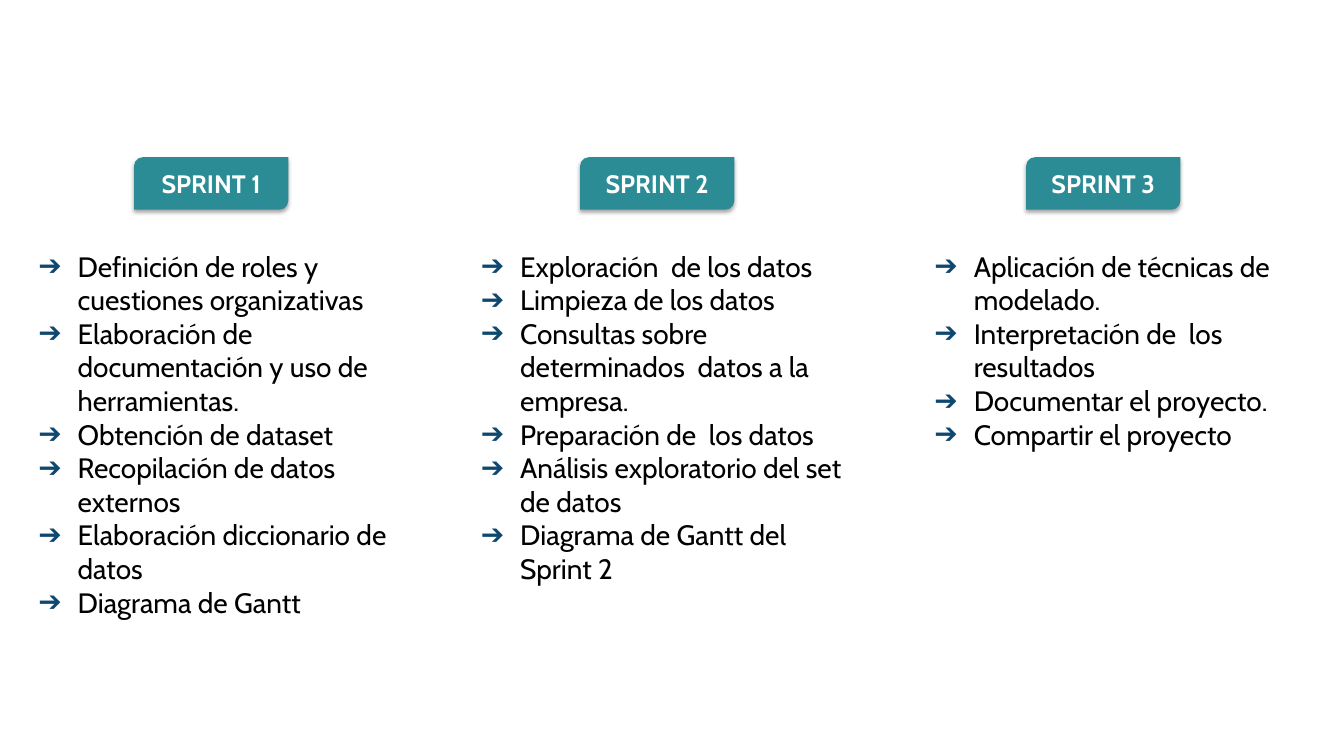
from lxml.etree import SubElement as add_element
from pptx import Presentation
from pptx.dml.color import RGBColor
from pptx.enum.shapes import MSO_SHAPE as Preset
from pptx.enum.text import MSO_ANCHOR as Anchor, MSO_AUTO_SIZE as AutoSize, PP_ALIGN as Align
from pptx.oxml.ns import qn
from pptx.util import Inches, Pt

COLUMNS, ROWS = 160, 90  # square grid cells, 1/12 inch each
COMPARISON_LAYOUT = 4
TAG_LEFT, TAG_STEP = 15.96, 53.1

# Each sprint: body placeholder index, left, width, height (grid cells), tasks
SPRINTS = [
    (1, 2.04, 50.64, 48.12, [
        "Definición de roles y cuestiones organizativas",
        "Elaboración de documentación y uso de herramientas.",
        "Obtención de dataset",
        "Recopilación de datos externos",
        "Elaboración diccionario de datos",
        "Diagrama de Gantt",
    ]),
    (2, 54.72, 47.76, 46.44, [
        "Exploración  de los datos",
        "Limpieza de los datos",
        "Consultas sobre determinados  datos a la empresa.",
        "Preparación de  los datos",
        "Análisis exploratorio del set de datos",
        "Diagrama de Gantt del Sprint 2",
    ]),
    (3, 108.72, 45.24, 31.8, [
        "Aplicación de técnicas de modelado.",
        "Interpretación de  los resultados",
        "Documentar el proyecto.",
        "Compartir el proyecto",
    ]),
]


def color(value):
    return RGBColor.from_string(value)


def write(para, text, size=20, ink="000000", bold=False, align=Align.LEFT, font="Cabin"):
    para.alignment = align
    para.space_before = Pt(0)
    span = para.add_run()
    span.text = text
    span.font.name = font
    span.font.size = Pt(size)
    span.font.bold = bold
    span.font.color.rgb = color(ink)


class SprintSlide:
    teal, navy, white = "2B8C95", "0F486F", "FFFFFF"

    def __init__(self, deck):
        self.cell_width = deck.slide_width / COLUMNS
        self.cell_height = deck.slide_height / ROWS
        self.page = deck.slides.add_slide(deck.slide_layouts[COMPARISON_LAYOUT])

    def place(self, left, top, width, height):
        """Turn grid cells into slide lengths."""
        return (round(left * self.cell_width), round(top * self.cell_height),
                round(width * self.cell_width), round(height * self.cell_height))

    def bullet(self, para):
        props = para._p.get_or_add_pPr()
        props.set("marL", str(Inches(0.5)))
        props.set("indent", str(Inches(-0.39)))
        add_element(add_element(props, qn("a:buClr")), qn("a:srgbClr"), val=self.navy)
        add_element(props, qn("a:buFont"), typeface="Cabin")
        add_element(props, qn("a:buChar"), char="➔")

    def task_list(self, index, tasks, *area):
        box = self.page.placeholders[index]
        box.left, box.top, box.width, box.height = self.place(*area)
        frame = box.text_frame
        frame.word_wrap = True
        frame.auto_size = AutoSize.NONE
        frame.vertical_anchor = Anchor.TOP
        for number, task in enumerate(tasks):
            para = frame.add_paragraph() if number else frame.paragraphs[0]
            self.bullet(para)
            write(para, task)

    def tag(self, text, *area):
        box = self.page.shapes.add_shape(Preset.ROUND_2_DIAG_RECTANGLE, *self.place(*area))
        box.adjustments[0], box.adjustments[1] = 0.167, 0
        box.fill.solid()
        box.fill.fore_color.rgb = color(self.teal)
        box.line.fill.background()
        self.drop_shadow(box)
        frame = box.text_frame
        frame.word_wrap = True
        frame.vertical_anchor = Anchor.MIDDLE
        frame.margin_left = frame.margin_right = Inches(0.1)
        frame.margin_top = frame.margin_bottom = Inches(0.1)
        write(frame.paragraphs[0], text, size=18, ink=self.white, bold=True, align=Align.CENTER)

    def drop_shadow(self, box):
        box.shadow.inherit = False
        effects = box._element.spPr.find(qn("a:effectLst"))
        shadow = add_element(effects, qn("a:outerShdw"), blurRad=str(Pt(3.1)),
                             dist=str(Pt(1.8)), dir="5400000", rotWithShape="0")
        tint = add_element(shadow, qn("a:srgbClr"), val="000000")
        add_element(tint, qn("a:alpha"), val="35000")

    def remove_empty(self):
        for box in list(self.page.placeholders):
            if not box.text_frame.text:
                box._element.getparent().remove(box._element)


def main():
    deck = Presentation()
    deck.slide_width, deck.slide_height = Inches(13.33), Inches(7.5)
    slide = SprintSlide(deck)

    # One tag and one task list per sprint
    for number, (index, left, width, height, tasks) in enumerate(SPRINTS):
        slide.task_list(index, tasks, left, 29.04, width, height)
        slide.tag(f"SPRINT {number + 1}", TAG_LEFT + number * TAG_STEP, 18.72, 18.36, 6.24)

    # Unused title and body
    slide.remove_empty()
    deck.save("out.pptx")


if __name__ == "__main__":
    main()
